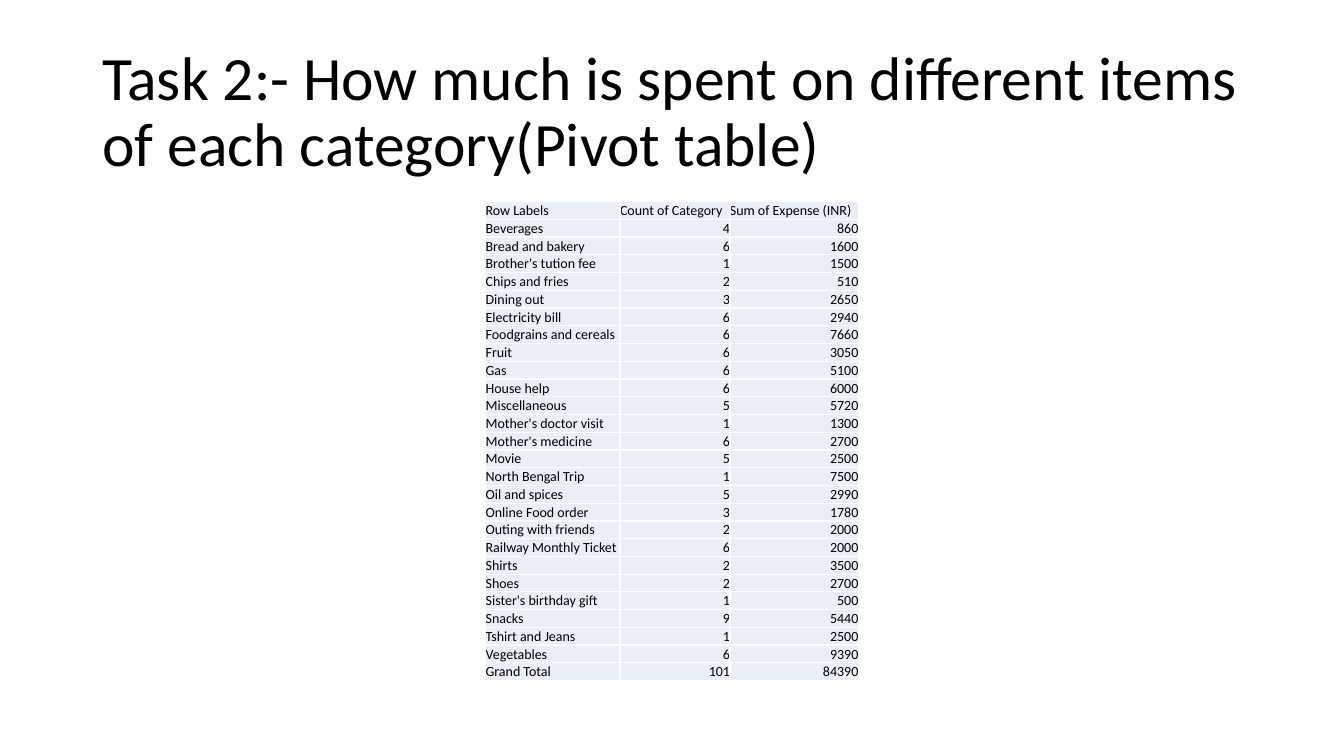
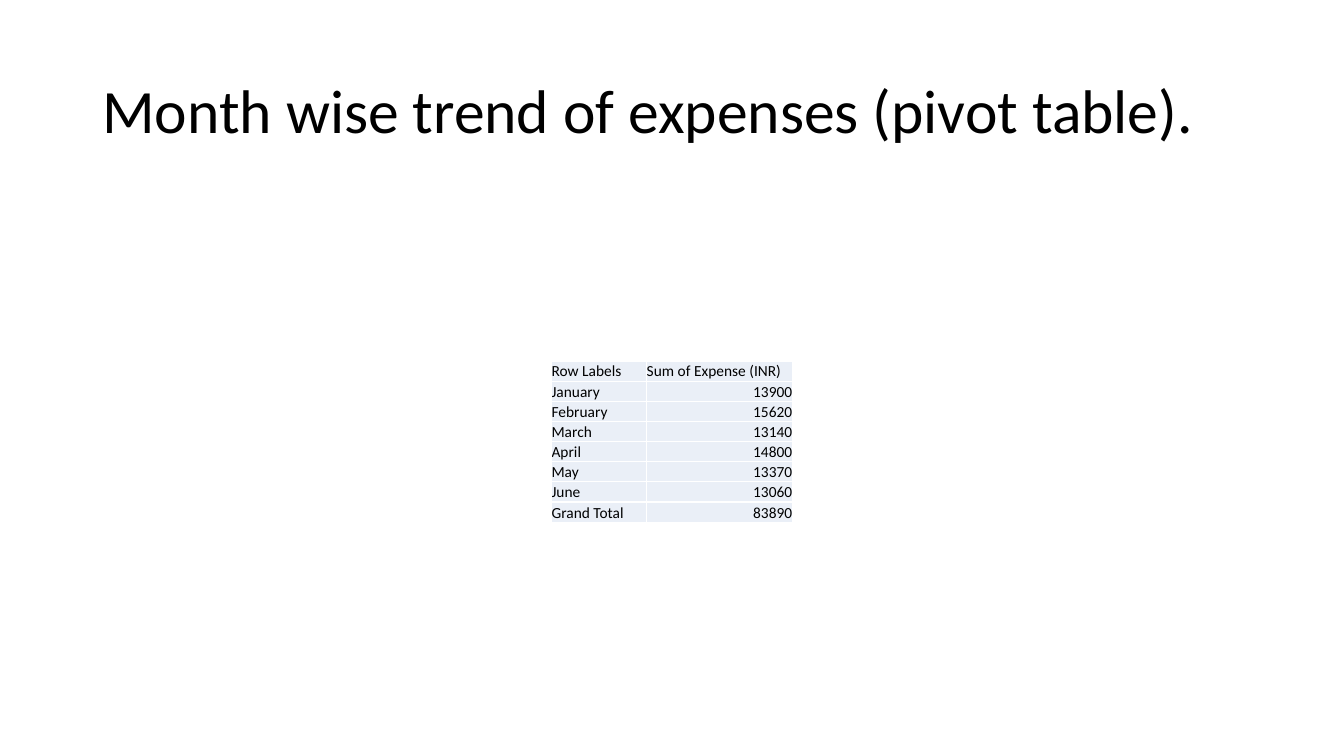
from pptx import Presentation
from pptx.dml.color import RGBColor as RGB
from pptx.enum.text import MSO_ANCHOR as ANCHOR, PP_ALIGN as ALIGN
from pptx.oxml import parse_xml
from pptx.oxml.ns import nsdecls
from pptx.util import Pt

COLORS = {"text": "000000", "cell": "EAEFF7", "border": "FFFFFF"}
FONT = "Calibri"
SLIDE_W, SLIDE_H = 960, 540

CATEGORY_ROWS = [
    ("Row Labels", "Count of Category", "Sum of Expense (INR)"),
    ("Beverages", 4, 860),
    ("Bread and bakery", 6, 1600),
    ("Brother's tution fee", 1, 1500),
    ("Chips and fries", 2, 510),
    ("Dining out", 3, 2650),
    ("Electricity bill", 6, 2940),
    ("Foodgrains and cereals", 6, 7660),
    ("Fruit", 6, 3050),
    ("Gas", 6, 5100),
    ("House help", 6, 6000),
    ("Miscellaneous", 5, 5720),
    ("Mother's doctor visit", 1, 1300),
    ("Mother's medicine", 6, 2700),
    ("Movie", 5, 2500),
    ("North Bengal Trip", 1, 7500),
    ("Oil and spices", 5, 2990),
    ("Online Food order", 3, 1780),
    ("Outing with friends", 2, 2000),
    ("Railway Monthly Ticket", 6, 2000),
    ("Shirts", 2, 3500),
    ("Shoes", 2, 2700),
    ("Sister's birthday gift", 1, 500),
    ("Snacks", 9, 5440),
    ("Tshirt and Jeans", 1, 2500),
    ("Vegetables", 6, 9390),
    ("Grand Total", 101, 84390),
]
MONTH_ROWS = [
    ("Row Labels", "Sum of Expense (INR)"),
    ("January", 13900),
    ("February", 15620),
    ("March", 13140),
    ("April", 14800),
    ("May", 13370),
    ("June", 13060),
    ("Grand Total", 83890),
]

# Title, table rows, column widths, table top, row height, font size
SLIDES = [
    ("Task 2:- How much is spent on different items of each category(Pivot table)",
     CATEGORY_ROWS, (96, 78.5, 91.7), 144, 12.69, 10),
    ("Month wise trend of expenses (pivot table).",
     MONTH_ROWS, (68, 104), 257.8, 14.4, 11),
]


def write(tf, text, size, align=ALIGN.LEFT, spacing=1.0):
    p = tf.paragraphs[0]
    p.alignment, p.line_spacing = align, spacing
    r = p.add_run()
    r.text = text
    r.font.size, r.font.name = Pt(size), FONT
    r.font.color.rgb = RGB.from_string(COLORS["text"])


def style_cell(cell):
    cell.margin_left = cell.margin_right = cell.margin_top = cell.margin_bottom = 0
    cell.vertical_anchor = ANCHOR.BOTTOM
    tc_pr = cell._tc.get_or_add_tcPr()
    for side in "LRTB":
        tc_pr.append(parse_xml(
            f'<a:ln{side} {nsdecls("a")} w="{Pt(1)}"><a:solidFill>'
            f'<a:srgbClr val="{COLORS["border"]}"/></a:solidFill></a:ln{side}>'))
    cell.fill.solid()
    cell.fill.fore_color.rgb = RGB.from_string(COLORS["cell"])


prs = Presentation()
prs.slide_width, prs.slide_height = Pt(SLIDE_W), Pt(SLIDE_H)

for title, rows, widths, top, row_h, size in SLIDES:
    s = prs.slides.add_slide(prs.slide_layouts[6])

    # Title
    tf = s.shapes.add_textbox(Pt(66), Pt(28.75), Pt(828), Pt(104.4)).text_frame
    tf.word_wrap = True
    tf.vertical_anchor = ANCHOR.MIDDLE
    write(tf, title, 44, spacing=0.9)

    # Table, centred across the slide
    table_w = sum(widths)
    table = s.shapes.add_table(
        len(rows), len(widths), Pt((SLIDE_W - table_w) / 2), Pt(top),
        Pt(table_w), Pt(row_h * len(rows))).table
    table.first_row = table.horz_banding = False
    for column, width in zip(table.columns, widths):
        column.width = Pt(width)
    for i, values in enumerate(rows):
        table.rows[i].height = Pt(row_h)
        for j, value in enumerate(values):
            cell = table.cell(i, j)
            style_cell(cell)
            align = ALIGN.RIGHT if isinstance(value, int) else ALIGN.LEFT
            write(cell.text_frame, str(value), size, align=align)

prs.save("out.pptx")
